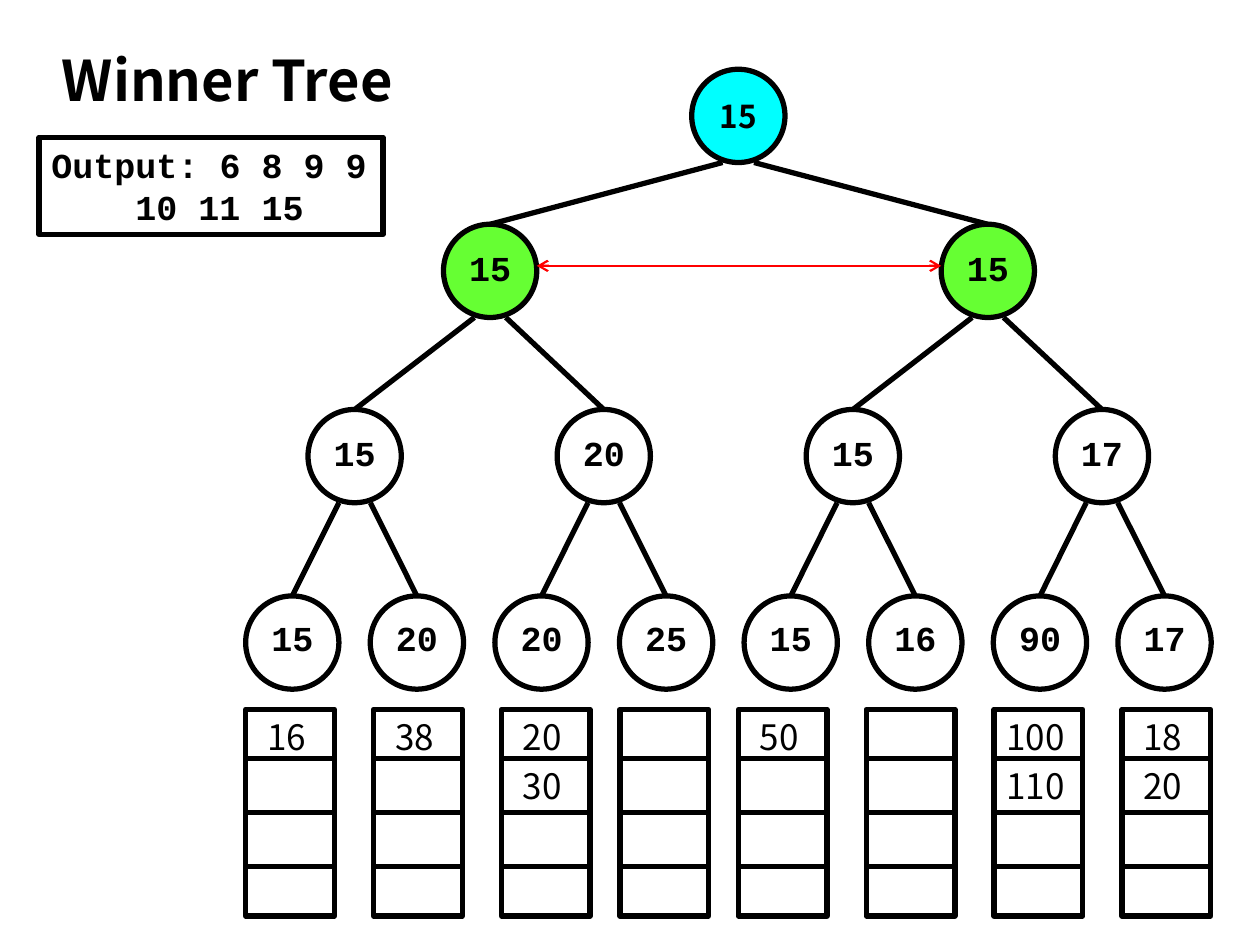
import pptx
import pptx.dml.color
import pptx.enum.shapes
import pptx.enum.text
import pptx.oxml.ns
import pptx.util
from lxml import etree

COLUMNS, ROWS = 100, 75
CELL = pptx.util.Inches(10) // COLUMNS
SANS, MONO = "Noto Sans CJK KR", "Courier New"
BLACK, RED, GREEN, CYAN = "000000", "FF0000", "66FF33", "00FFFF"
ALIGN = pptx.enum.text.PP_ALIGN
ANCHOR = pptx.enum.text.MSO_ANCHOR
SHAPE = pptx.enum.shapes.MSO_SHAPE

NODE = 7.4
LINK_SPREAD = 1.25
LEVELS = [
    {"values": ["15"], "first": 58.6, "step": 0, "top": 5.5, "fill": CYAN},
    {"values": ["15", "15"], "first": 38.9, "step": 39.5, "top": 17.8, "drop": 1.3, "fill": GREEN},
    {"values": ["15", "20", "15", "17"], "first": 28.15, "step": 19.77, "top": 32.5, "drop": 1.25},
    {"values": ["15", "20", "20", "25", "15", "16", "90", "17"],
     "first": 23.2, "step": 9.89, "top": 47.3, "drop": 1.1},
]
STACKS = [["16"], ["38"], ["20", "30"], [], ["50"], [], ["100", "110"], ["18", "20"]]
STACK_TOP, STACK_WIDTH, STACK_HEIGHT = 56.3, 7.04, 16.4
RUNG_GAP, VALUE_GAP = 4.3, 3.9


def grid(*cells):
    return [round(cell * CELL) for cell in cells]


def color(code):
    return pptx.dml.color.RGBColor.from_string(code)


def write(shape, text, font=MONO, size=20, bold=True, align=ALIGN.CENTER,
          anchor=ANCHOR.TOP, wrap=True, indents=()):
    frame = shape.text_frame
    frame.word_wrap = wrap
    frame.auto_size = pptx.enum.text.MSO_AUTO_SIZE.NONE
    frame.vertical_anchor = anchor
    for index, line in enumerate(text.split("\n")):
        para = frame.paragraphs[0] if index == 0 else frame.add_paragraph()
        para.alignment = align
        if indents:
            para._p.get_or_add_pPr().set("marL", str(grid(indents[index])[0]))
        span = para.add_run()
        span.text = line
        span.font.name = font
        span.font.size = pptx.util.Pt(size)
        span.font.bold = bold
        span.font.color.rgb = color(BLACK)


def add_label(page, text, left, top, width, **format):
    box = page.shapes.add_textbox(*grid(left, top, width, 4.4))
    write(box, text, **format)


def add_outline(page, kind, left, top, width, height, fill=None):
    shape = page.shapes.add_shape(kind, *grid(left, top, width, height))
    shape.shadow.inherit = False
    if fill:
        shape.fill.solid()
        shape.fill.fore_color.rgb = color(fill)
    else:
        shape.fill.background()
    shape.line.color.rgb = color(BLACK)
    shape.line.width = pptx.util.Pt(3)
    return shape


def add_line(page, start, end, stroke=BLACK, width=3, arrows=False):
    line = page.shapes.add_connector(
        pptx.enum.shapes.MSO_CONNECTOR.STRAIGHT, *grid(*start, *end))
    line.line.color.rgb = color(stroke)
    line.line.width = pptx.util.Pt(width)
    if arrows:
        for tag in ("a:headEnd", "a:tailEnd"):
            etree.SubElement(line.line._get_or_add_ln(),
                             pptx.oxml.ns.qn(tag), type="arrow")
    etree.SubElement(line._element.spPr, pptx.oxml.ns.qn("a:effectLst"))
    return line


def add_node(page, level, index):
    center = level["first"] + index * level["step"]
    node = add_outline(page, SHAPE.OVAL, center - NODE / 2, level["top"],
                       NODE, NODE, level.get("fill"))
    value = level["values"][index]
    if "drop" in level:
        add_label(page, value, center - 3.4, level["top"] + level["drop"], 6.8)
    else:
        write(node, value, font=SANS, size=18, anchor=ANCHOR.MIDDLE, wrap=False)
    return node


def add_links(page, parent_level, level, nodes):
    for index, node in enumerate(nodes):
        side = -1 if index % 2 == 0 else 1
        child = (level["first"] + index * level["step"], level["top"])
        parent = (parent_level["first"] + index // 2 * parent_level["step"]
                  + side * LINK_SPREAD, parent_level["top"] + NODE)
        add_line(page, child, parent).begin_connect(node, 0)


def add_tree(page):
    rows = [[add_node(page, level, index) for index in range(len(level["values"]))]
            for level in LEVELS]
    for parent_level, level, nodes in zip(LEVELS, LEVELS[1:], rows[1:]):
        add_links(page, parent_level, level, nodes)


def add_stack(page, left, values):
    stack = add_outline(page, SHAPE.RECTANGLE, left, STACK_TOP, STACK_WIDTH, STACK_HEIGHT)
    middle = STACK_TOP + STACK_HEIGHT / 2
    for offset in (-1, 0, 1):
        y = middle + offset * RUNG_GAP
        rung = add_line(page, (left, y), (left + STACK_WIDTH, y))
        if offset == 0:
            rung.begin_connect(stack, 1)
            rung.end_connect(stack, 3)
    for index, value in enumerate(values):
        width = 5.6 if len(value) == 2 else 7.1
        add_label(page, value, left + (STACK_WIDTH - width) / 2,
                  STACK_TOP + index * VALUE_GAP, width,
                  font=SANS, bold=False, align=ALIGN.LEFT, wrap=False)


def add_stacks(page):
    for index, values in enumerate(STACKS):
        narrowing = 0.75 * min(max(index - 2, 0), 2)
        add_stack(page, 19.5 + index * 10.15 - narrowing, values)


def add_title(page, text):
    title = page.shapes.title
    title.left, title.top, title.width, title.height = grid(3.9, 3.1, 33.6, 6.4)
    write(title, text, font=SANS, size=32, align=ALIGN.LEFT, anchor=ANCHOR.MIDDLE)


def main():
    deck = pptx.Presentation()
    deck.slide_width, deck.slide_height = grid(COLUMNS, ROWS)
    page = deck.slides.add_slide(deck.slide_layouts[5])
    add_title(page, "Winner Tree")
    add_tree(page)
    add_stacks(page)
    output = add_outline(page, SHAPE.RECTANGLE, 3.1, 10.9, 27.3, 7.7)
    write(output, "Output: 6 8 9 9\n10 11 15", align=ALIGN.LEFT,
          anchor=ANCHOR.MIDDLE, indents=(0, 6.67))
    add_line(page, (42.6, 21.1), (74.7, 21.1), stroke=RED, width=1.25, arrows=True)
    deck.save("out.pptx")


if __name__ == "__main__":
    main()
